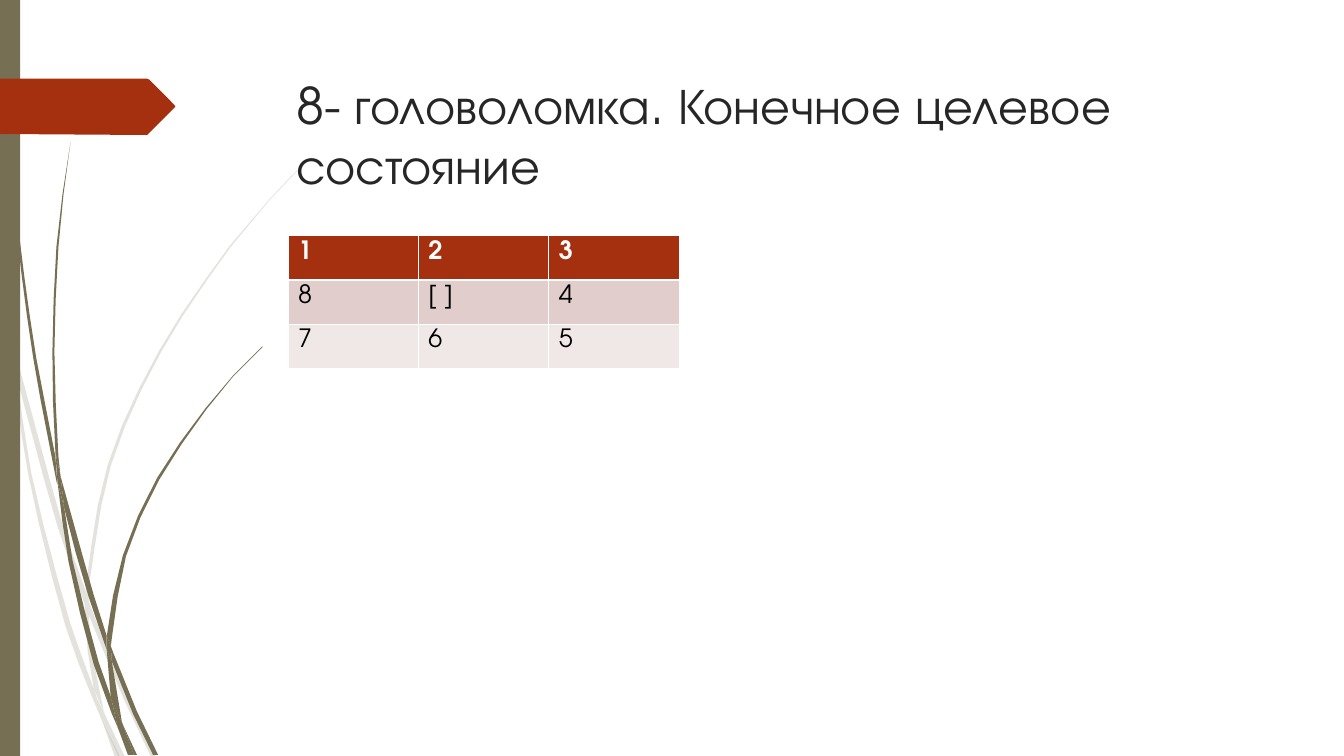
from itertools import pairwise
from math import dist

from lxml import etree
from pptx import Presentation
from pptx import util as u
from pptx.dml.color import RGBColor
from pptx.enum import shapes, text
from pptx.oxml import ns

OLIVE = RGBColor(0x76, 0x6F, 0x54)
RUST = RGBColor(0xA5, 0x30, 0x10)
INK = RGBColor(0x26, 0x26, 0x26)
BLACK = RGBColor(0x00, 0x00, 0x00)
WHITE = RGBColor(0xFF, 0xFF, 0xFF)
ROSE = RGBColor(0xE1, 0xCD, 0xCC)
PALE_ROSE = RGBColor(0xF0, 0xE8, 0xE7)

GRID = u.Cm(0.0254)  # one step of the outline coordinates below
CHORD = 45  # longest straight piece of a curve, in grid steps
THIN, THICK = 0.45, 1.47  # table rules, points

# Grass pieces: the two edges of each, both from top to bottom
PALE_GRASS = [
    ([(0, 299), (10, 344), (11, 350)], [(0, 282), (8, 322), (11, 350)]),
    ([(17, 376), (57, 522), (84, 599)], [(14, 345), (62, 520), (85, 586)]),
    ([(88, 610), (123, 694), (150, 751)],
     [(88, 596), (92, 607), (127, 692), (155, 751)]),
    ([(105, 711), (119, 751)], [(105, 711), (124, 751)]),
    ([(11, 350), (28, 470), (65, 621), (92, 693), (101, 714)],
     [(11, 350), (17, 376), (31, 469), (70, 619), (93, 683), (101, 714)]),
    ([(84, 599), (87, 646), (93, 683), (105, 711)],
     [(84, 599), (88, 610), (91, 646), (103, 706), (105, 711)]),
    ([(312, 153), (289, 175), (268, 197), (228, 244), (158, 348), (107, 461),
      (85, 584), (88, 596)],
     [(312, 153), (290, 175), (268, 198), (229, 245), (160, 349), (110, 462),
      (88, 584), (88, 596)]),
    ([(101, 714), (114, 751)], [(101, 714), (119, 751)]),
    ([(85, 586), (84, 599), (88, 610)], [(85, 586), (88, 596), (88, 610)]),
    ([(93, 683), (101, 714), (118, 751)],
     [(93, 683), (96, 692), (105, 711), (119, 751)]),
]
DARK_GRASS = [
    ([(3, 0), (3, 48), (7, 110), (17, 233), (33, 355), (56, 477), (57, 481)],
     [(3, 0), (5, 48), (8, 109), (19, 232), (36, 355), (55, 453), (57, 481)]),
    ([(60, 472), (64, 505), (88, 592), (106, 645)],
     [(60, 472), (93, 590), (106, 631)]),
    ([(110, 641), (111, 656), (132, 708), (152, 749)],
     [(110, 641), (113, 649), (136, 706), (157, 749)]),
    ([(57, 477), (68, 557), (93, 659), (111, 708), (117, 722)],
     [(57, 477), (64, 505), (72, 556), (98, 657), (110, 691), (117, 722)]),
    ([(70, 141), (62, 193), (56, 245), (52, 349), (55, 449), (60, 472)],
     [(70, 141), (63, 193), (58, 245), (54, 349), (58, 453), (60, 472)]),
    ([(122, 719), (133, 749)], [(122, 719), (136, 749)]),
    ([(55, 449), (57, 477), (64, 505)], [(55, 449), (60, 472), (64, 505)]),
    ([(260, 344), (231, 373), (204, 405), (156, 474), (122, 551),
      (106, 631), (110, 641)],
     [(261, 344), (231, 374), (205, 406), (158, 476), (125, 552),
      (111, 633), (110, 641)]),
    ([(117, 722), (127, 749)], [(117, 722), (131, 749)]),
    ([(106, 645), (110, 692), (116, 706), (122, 719)],
     [(106, 645), (111, 656), (121, 716), (122, 719)]),
    ([(106, 631), (106, 645), (111, 656)], [(106, 631), (110, 641), (111, 656)]),
    ([(110, 691), (117, 722), (130, 749)],
     [(110, 691), (116, 706), (122, 719), (133, 749)]),
]
ARROW_TAG = [(0, 78), (146, 78), (148, 79), (173, 104), (174, 106), (173, 107),
             (148, 132), (146, 134), (0, 133)]


def smooth(points):
    """Return a smooth line through the points, made of short chords."""
    slopes = []
    for i in range(len(points)):
        near = points[max(i - 1, 0):i + 2]
        length = sum(dist(a, b) for a, b in pairwise(near))
        slopes.append([(near[-1][axis] - near[0][axis]) / length for axis in (0, 1)])
    line = [points[0]]
    for i, (a, b) in enumerate(pairwise(points)):
        span = dist(a, b)
        steps = max(1, round(span / CHORD)) if len(points) > 2 else 1
        for step in range(1, steps + 1):
            t = step / steps
            rise = t * t * (3 - 2 * t)
            leave, arrive = t * (1 - t) ** 2 * span, t * t * (t - 1) * span
            line.append(tuple(
                a[axis] + rise * (b[axis] - a[axis])
                + leave * slopes[i][axis] + arrive * slopes[i + 1][axis]
                for axis in (0, 1)))
    return line


def write(frame, words, *, size, color, bold=False, font="TeX Gyre Adventor"):
    frame.word_wrap = True
    paragraph = frame.paragraphs[0]
    paragraph.alignment = text.PP_ALIGN.LEFT
    run = paragraph.add_run()
    run.text = words
    run.font.name, run.font.size, run.font.bold = font, u.Pt(size), bold
    run.font.color.rgb = color


class SlideBuilder:
    def __init__(self, slide):
        self.slide = slide

    def paint(self, shape, color, alpha=None):
        shape.shadow.inherit = False
        shape.fill.solid()
        shape.fill.fore_color.rgb = color
        shape.line.fill.background()
        if alpha is not None:
            tint = shape.element.spPr.find(ns.qn("a:solidFill"))[0]
            etree.SubElement(tint, ns.qn("a:alpha"), val=str(alpha * 1000))

    def outline(self, points, color, alpha=None):
        start, *rest = [(x * GRID, y * GRID) for x, y in points]
        builder = self.slide.shapes.build_freeform(*start)
        builder.add_line_segments(rest, close=True)
        self.paint(builder.convert_to_shape(), color, alpha)

    def grass(self, pieces, color, alpha=None):
        for left, right in pieces:
            # The edges share their first point when the tip is sharp
            back = smooth(right)[::-1]
            self.outline(smooth(left) + back[left[-1] == right[-1]:], color, alpha)

    def bar(self, left, top, width, height, color):
        shape = self.slide.shapes.add_shape(
            shapes.MSO_SHAPE.RECTANGLE, *map(u.Cm, (left, top, width, height)))
        self.paint(shape, color)

    def title(self, words, left, top, width, height):
        title = self.slide.shapes.title
        title.left, title.top, title.width, title.height = map(
            u.Cm, (left, top, width, height))
        title.text_frame.auto_size = text.MSO_AUTO_SIZE.NONE
        title.text_frame.vertical_anchor = text.MSO_ANCHOR.TOP
        write(title.text_frame, words, size=36, color=INK)
        title.element.getparent().append(title.element)  # in front of the grass

    def rule(self, cell, side, width):
        line = etree.SubElement(cell._tc.get_or_add_tcPr(), ns.qn("a:ln" + side),
                                w=str(u.Pt(width)))
        fill = etree.SubElement(line, ns.qn("a:solidFill"))
        etree.SubElement(fill, ns.qn("a:srgbClr"), val=str(WHITE))

    def table(self, rows, fills, left, top, width, height):
        table = self.slide.shapes.add_table(
            len(rows), len(rows[0]), *map(u.Cm, (left, top, width, height))).table
        for r, (row, fill) in enumerate(zip(rows, fills)):
            for c, words in enumerate(row):
                cell = table.cell(r, c)
                header = r == 0
                for side in "LRTB":
                    under_header = (side, r) in (("B", 0), ("T", 1))
                    self.rule(cell, side, THICK if under_header else THIN)
                cell.fill.solid()
                cell.fill.fore_color.rgb = fill
                write(cell.text_frame, words, size=18, bold=header,
                      color=WHITE if header else BLACK)


def main():
    presentation = Presentation()
    presentation.slide_width, presentation.slide_height = u.Cm(33.88), u.Cm(19.05)
    builder = SlideBuilder(presentation.slides.add_slide(presentation.slide_layouts[5]))

    # Decoration along the left edge
    builder.grass(PALE_GRASS, OLIVE, alpha=20)
    builder.grass(DARK_GRASS, OLIVE)
    builder.bar(0, 0, 0.51, 19.05, OLIVE)
    builder.outline(ARROW_TAG, RUST)

    # Title and puzzle board
    builder.title("8- головоломка. Конечное целевое состояние", 7.21, 1.73, 24.77, 3.56)
    builder.table([["1", "2", "3"], ["8", "[ ]", "4"], ["7", "6", "5"]],
                  [RUST, ROSE, PALE_ROSE], 7.26, 5.93, 9.86, 3.35)

    presentation.save("out.pptx")


if __name__ == "__main__":
    main()
